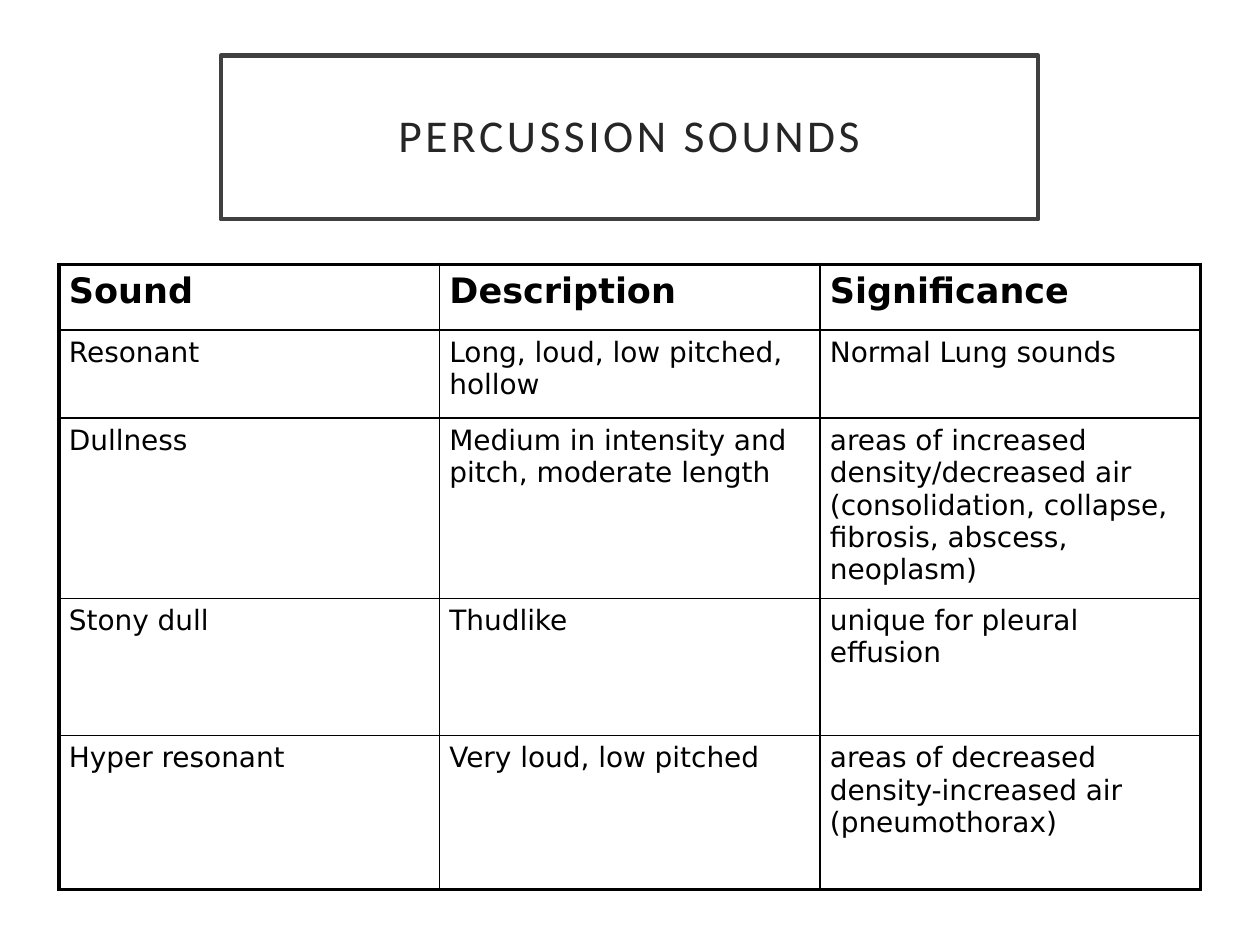
from lxml.etree import SubElement
from pptx import Presentation
from pptx.dml.color import RGBColor
from pptx.enum.text import MSO_ANCHOR, PP_ALIGN
from pptx.oxml.ns import qn
from pptx.util import Cm, Pt

ROWS = [
    ("Sound", "Description", "Significance"),
    ("Resonant", "Long, loud, low pitched, hollow", "Normal Lung sounds"),
    ("Dullness", "Medium in intensity and pitch, moderate length",
     "areas of increased density/decreased air "
     "(consolidation, collapse, fibrosis, abscess, neoplasm)"),
    ("Stony dull", "Thudlike", "unique for pleural effusion"),
    ("Hyper resonant", "Very loud, low pitched",
     "areas of decreased density-increased air (pneumothorax)"),
]
ROW_HEIGHTS = [1.32, 1.78, 3.63, 2.77, 3.1]
COLUMN_WIDTH = 7.67
OUTER_LINE = 2.25
INNER_LINE = 1


def color(hex_value):
    """Turn a hex string into a colour."""
    return RGBColor.from_string(hex_value)


def add_run(paragraph, text, font_name, size, hex_value, bold=False):
    """Add one formatted run to a paragraph."""
    run = paragraph.add_run()
    run.text = text
    run.font.name = font_name
    run.font.size = Pt(size)
    run.font.bold = bold
    run.font.color.rgb = color(hex_value)
    return run


def set_margins(target, horizontal, vertical):
    """Set the inner margins of a cell or text frame."""
    target.margin_left = target.margin_right = Cm(horizontal)
    target.margin_top = target.margin_bottom = Cm(vertical)


def format_title(title, text):
    """Place the title in its outlined frame."""
    title.left, title.top = Cm(4.45), Cm(1.12)
    title.width, title.height = Cm(16.48), Cm(3.3)
    title.fill.solid()
    title.fill.fore_color.rgb = color("FFFFFF")
    title.line.color.rgb = color("404040")
    title.line.width = Pt(2.5)
    frame = title.text_frame
    frame.word_wrap = True
    frame.vertical_anchor = MSO_ANCHOR.MIDDLE
    set_margins(frame, 0.5, 0.5)
    paragraph = frame.paragraphs[0]
    paragraph.alignment = PP_ALIGN.CENTER
    paragraph.line_spacing = 0.9
    run = add_run(paragraph, text, "Calibri", 26, "262626")
    run.font._element.set("spc", "200")


def set_border(cell, side, width):
    """Draw one black border of a cell."""
    properties = cell._tc.get_or_add_tcPr()
    line = SubElement(properties, qn(f"a:ln{side}"), w=str(Pt(width)))
    fill = SubElement(line, qn("a:solidFill"))
    SubElement(fill, qn("a:srgbClr"), val="000000")


def set_space_before(paragraph, percent):
    """Set the space before a paragraph relative to its line height."""
    properties = paragraph._p.get_or_add_pPr()
    spacing = SubElement(properties, qn("a:spcBef"))
    SubElement(spacing, qn("a:spcPct"), val=str(percent * 1000))


def fill_cell(cell, text, is_header, outer_sides):
    """Write one table cell with its borders."""
    for side in "LRTB":
        set_border(cell, side, OUTER_LINE if side in outer_sides else INNER_LINE)
    cell.fill.background()
    set_margins(cell, 0.2, 0.13)
    cell.vertical_anchor = MSO_ANCHOR.TOP
    paragraph = cell.text_frame.paragraphs[0]
    set_space_before(paragraph, 20)
    add_run(paragraph, text, "DejaVu Sans", 20 if is_header else 16, "000000", is_header)


def add_sound_table(slide):
    """Add the table of percussion sounds."""
    last_row, last_column = len(ROWS) - 1, len(ROWS[0]) - 1
    shape = slide.shapes.add_table(
        len(ROWS), len(ROWS[0]), Cm(1.19), Cm(5.33),
        Cm(COLUMN_WIDTH * len(ROWS[0])), Cm(sum(ROW_HEIGHTS)))
    table = shape.table
    table.horz_banding = False
    table.first_row = False
    for column in table.columns:
        column.width = Cm(COLUMN_WIDTH)
    for row_index, texts in enumerate(ROWS):
        table.rows[row_index].height = Cm(ROW_HEIGHTS[row_index])
        for column_index, text in enumerate(texts):
            edges = {"L": column_index == 0, "R": column_index == last_column,
                     "T": row_index == 0, "B": row_index == last_row}
            outer_sides = [side for side, is_outer in edges.items() if is_outer]
            fill_cell(table.cell(row_index, column_index), text,
                      row_index == 0, outer_sides)


def main():
    """Build the slide and save it."""
    presentation = Presentation()
    presentation.slide_width = Cm(25.4)
    presentation.slide_height = Cm(19.05)
    slide = presentation.slides.add_slide(presentation.slide_layouts[5])
    format_title(slide.shapes.title, "PERCUSSION SOUNDS")
    add_sound_table(slide)
    presentation.save("out.pptx")


if __name__ == "__main__":
    main()
